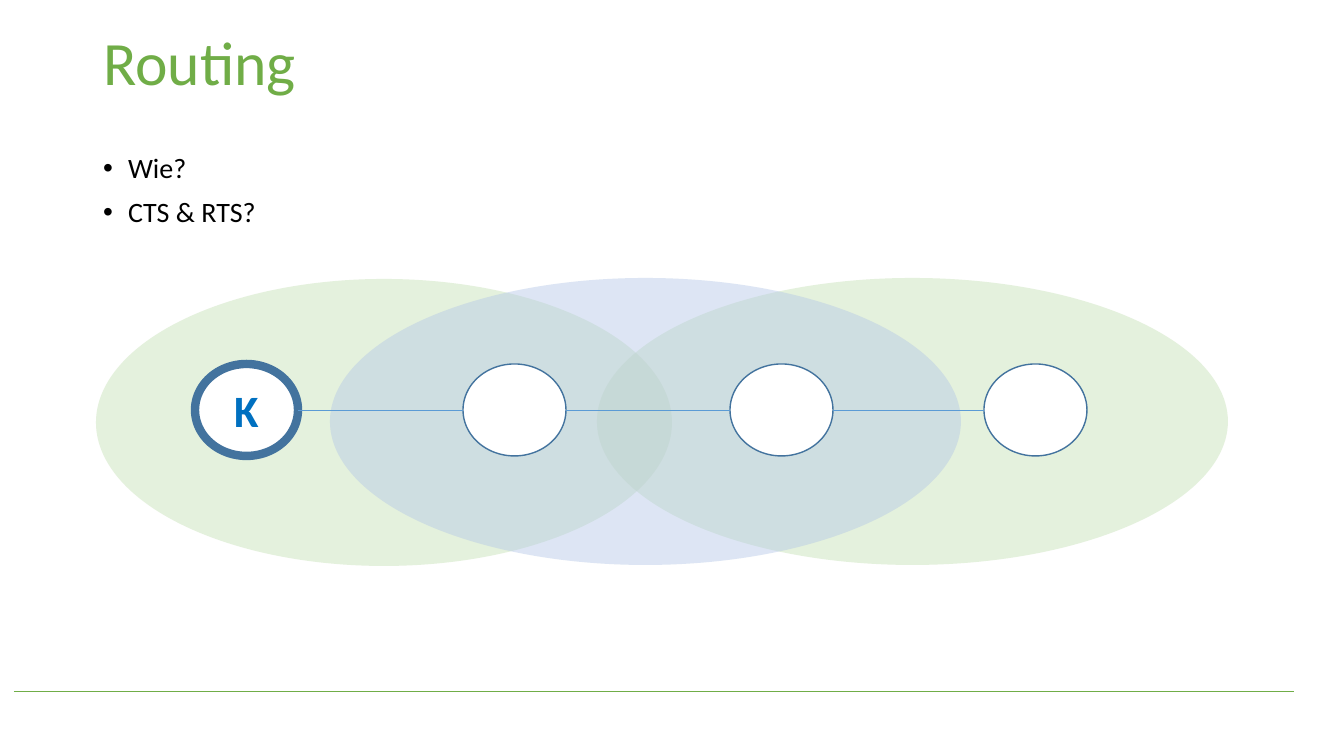
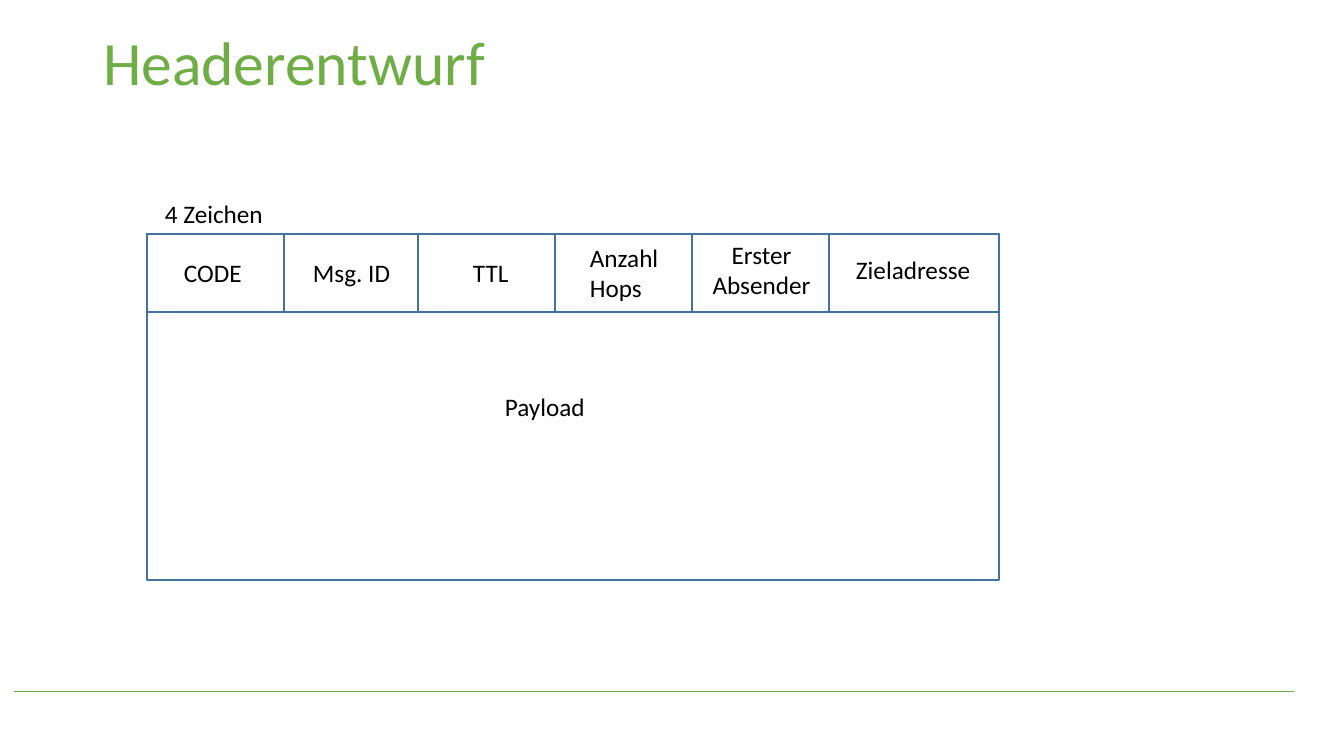
from itertools import pairwise

from lxml.etree import SubElement
from pptx import Presentation
from pptx.dml.color import RGBColor
from pptx.enum.shapes import MSO_CONNECTOR, MSO_SHAPE
from pptx.enum.text import MSO_ANCHOR, MSO_AUTO_SIZE, PP_ALIGN
from pptx.oxml.ns import qn
from pptx.util import Pt

PIXEL = 914400 / 100.8
FONT = "Calibri"
GREEN = RGBColor(0x70, 0xAD, 0x47)
PALE_GREEN = RGBColor(0xC5, 0xE0, 0xB4)
PALE_BLUE = RGBColor(0xB4, 0xC7, 0xE7)
OUTLINE = RGBColor(0x43, 0x73, 0x9E)
LINK = RGBColor(0x5B, 0x9B, 0xD5)
LETTER = RGBColor(0x00, 0x70, 0xC0)
BLACK = RGBColor(0, 0, 0)
WHITE = RGBColor(0xFF, 0xFF, 0xFF)


def px(*lengths):
    """Turn pixel lengths into a list of EMU lengths."""
    return [round(length * PIXEL) for length in lengths]


def style_text(frame, size, color, align=PP_ALIGN.LEFT):
    """Format every paragraph and run of a text frame."""
    for paragraph in frame.paragraphs:
        paragraph.alignment = align
        for run in paragraph.runs:
            run.font.name = FONT
            run.font.size = Pt(size)
            run.font.color.rgb = color


presentation = Presentation()
presentation.slide_width, presentation.slide_height = px(1344, 756)
layouts = presentation.slide_layouts
routing = presentation.slides.add_slide(layouts[1])
header = presentation.slides.add_slide(layouts[5])

# Shared title style
for slide, heading in ((routing, "Routing"), (header, "Headerentwurf")):
    title = slide.shapes.title
    title.left, title.top, title.width, title.height = px(93, 27, 1159, 146)
    frame = title.text_frame
    frame.text = heading
    frame.vertical_anchor = MSO_ANCHOR.TOP
    frame.auto_size = MSO_AUTO_SIZE.NONE
    frame.paragraphs[0].line_spacing = 0.9
    style_text(frame, 44, GREEN)

# Routing: questions
body = routing.placeholders[1]
body.left, body.top, body.width, body.height = px(93, 149, 1159, 480)
frame = body.text_frame
frame.text = "Wie?\nCTS & RTS?"
frame.auto_size = MSO_AUTO_SIZE.NONE
style_text(frame, 20, BLACK)
indent = px(25)[0]
for paragraph in frame.paragraphs:
    paragraph.line_spacing = 0.9
    paragraph.space_before = Pt(10)
    properties = paragraph._p.get_or_add_pPr()
    properties.set("marL", str(indent))
    properties.set("indent", str(-indent))

# Routing: radio ranges
for left, top, width, color in (
    (96, 279, 576, PALE_GREEN),
    (597, 278, 631, PALE_GREEN),
    (330, 278, 631, PALE_BLUE),
):
    radio_range = routing.shapes.add_shape(MSO_SHAPE.OVAL, *px(left, top, width, 287))
    radio_range.shadow.inherit = False
    radio_range.fill.solid()
    radio_range.fill.fore_color.rgb = color
    radio_range.line.fill.background()
    color_element = radio_range.fill._xPr.find(qn("a:solidFill"))[0]
    SubElement(color_element, qn("a:alpha"), val="45000")

# Routing: nodes
node_lefts = (195, 463, 730, 984)
node_top, node_width, node_height = 364, 103, 92
nodes = []
for left in node_lefts:
    node = routing.shapes.add_shape(
        MSO_SHAPE.OVAL, *px(left, node_top, node_width, node_height)
    )
    node.shadow.inherit = False
    node.fill.solid()
    node.fill.fore_color.rgb = WHITE
    node.line.color.rgb = OUTLINE
    node.line.width = Pt(1)
    nodes.append(node)
sender = nodes[0]
sender.line.width = Pt(6)
sender.text_frame.text = "K"
sender.text_frame.vertical_anchor = MSO_ANCHOR.MIDDLE
style_text(sender.text_frame, 32, LETTER, PP_ALIGN.CENTER)
sender.text_frame.paragraphs[0].runs[0].font.bold = True

# Node links and the footer rule of both slides
node_middle = node_top + node_height / 2
lines = [(slide, 14, 1294, 691, GREEN) for slide in (routing, header)]
lines += [
    (routing, left + node_width, next_left, node_middle, LINK)
    for left, next_left in pairwise(node_lefts)
]
for slide, start, end, y, color in lines:
    line = slide.shapes.add_connector(MSO_CONNECTOR.STRAIGHT, *px(start, y, end, y))
    line.line.color.rgb = color
    line.line.width = Pt(0.5)
    SubElement(line._element.spPr, qn("a:effectLst"))

# Header layout: message frame, header row and its fields
frame_left, frame_top, frame_width = 147, 234, 852
frame_height, row_height = 346, 78
boxes = [(frame_left, frame_width, frame_height), (frame_left, frame_width, row_height)]
field_left = frame_left
for field_width in (137, 134, 137, 137, 137, 170):
    boxes.append((field_left, field_width, row_height))
    field_left += field_width
for left, width, height in boxes:
    box = header.shapes.add_shape(
        MSO_SHAPE.RECTANGLE, *px(left, frame_top, width, height)
    )
    box.shadow.inherit = False
    box.fill.background()
    box.line.color.rgb = OUTLINE
    box.line.width = Pt(1)

# Header layout: labels
for text, left, top, width, height, align in (
    ("CODE", 174, 252, 79, 40, PP_ALIGN.LEFT),
    ("Msg. ID", 303, 252, 99, 40, PP_ALIGN.LEFT),
    ("TTL", 463, 252, 56, 40, PP_ALIGN.LEFT),
    ("Anzahl\nHops", 580, 237, 90, 72, PP_ALIGN.LEFT),
    ("Erster\nAbsender", 702, 234, 119, 72, PP_ALIGN.CENTER),
    ("Zieladresse", 846, 249, 136, 40, PP_ALIGN.LEFT),
    ("Payload", 495, 386, 101, 40, PP_ALIGN.LEFT),
    ("4 Zeichen", 155, 193, 120, 40, PP_ALIGN.LEFT),
):
    label = header.shapes.add_textbox(*px(left, top, width, height))
    label.text_frame.text = text
    label.text_frame.word_wrap = False
    label.text_frame.auto_size = MSO_AUTO_SIZE.SHAPE_TO_FIT_TEXT
    style_text(label.text_frame, 18, BLACK, align)

presentation.save("out.pptx")
